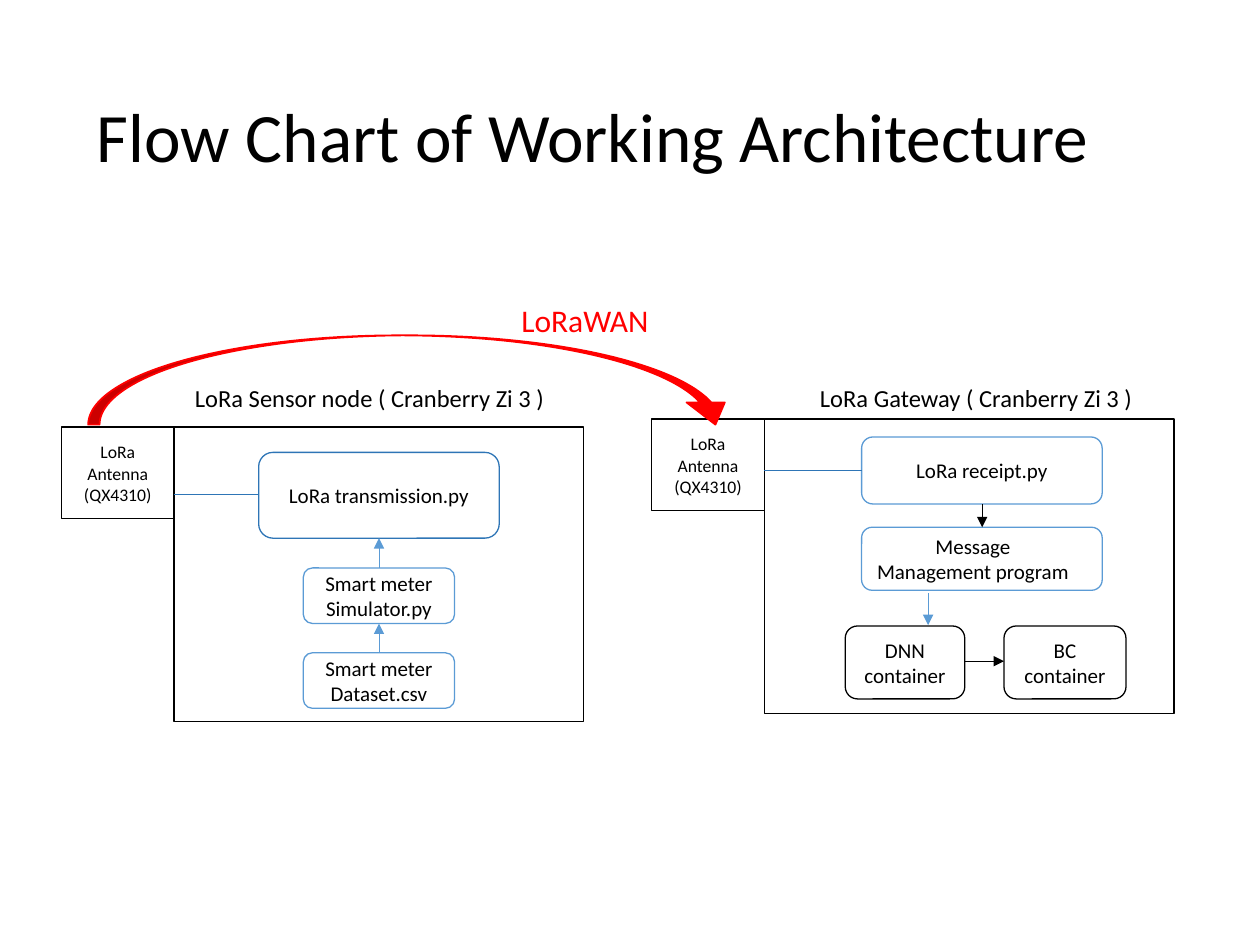
from pptx import Presentation
from pptx.dml.color import RGBColor
from pptx.enum import shapes as sh, text as tx
from pptx.oxml.ns import qn
from pptx.util import Cm, Pt
from lxml import etree

BLACK, BLUE, NAVY, RED = "000000", "5B9BD5", "2E75B6", "FF0000"
KIND = sh.MSO_SHAPE
ANTENNA = 2.27, 1.85
FRAME = 8.26, 5.94


def color(code):
    return RGBColor.from_string(code)


def write(frame, words, size, ink=BLACK, align=tx.PP_ALIGN.LEFT, wrap=True):
    frame.text = words
    frame.word_wrap = wrap
    for par in frame.paragraphs:
        par.alignment = align
        par.font.name = "Calibri"
        par.font.size = Pt(size)
        par.font.color.rgb = color(ink)


def label(slide, box, words, size, ink=BLACK, wrap=True):
    frame = slide.shapes.add_textbox(*map(Cm, box)).text_frame
    write(frame, words, size, ink, wrap=wrap)
    return frame


def block(slide, box, words="", ink=BLACK, kind=KIND.ROUNDED_RECTANGLE, size=12):
    """Draw an outlined box with centred words and return its text frame."""
    shape = slide.shapes.add_shape(kind, *map(Cm, box))
    shape.shadow.inherit = False
    shape.fill.background()
    shape.line.color.rgb = color(ink)
    shape.line.width = Pt(0.75)
    frame = shape.text_frame
    frame.vertical_anchor = tx.MSO_ANCHOR.MIDDLE
    if words:
        write(frame, words, size, align=tx.PP_ALIGN.CENTER)
    return frame


def link(slide, start, end, ink, arrow=True):
    line = slide.shapes.add_connector(
        sh.MSO_CONNECTOR.STRAIGHT, *map(Cm, (*start, *end)))
    line.line.color.rgb = color(ink)
    line.line.width = Pt(0.5)
    if arrow:
        etree.SubElement(line.line._get_or_add_ln(), qn("a:tailEnd"), type="triangle")
    etree.SubElement(line._element.spPr, qn("a:effectLst"))


def title(slide, box):
    frame = label(slide, box, "Flow Chart of Working Architecture", 39.6)
    frame.vertical_anchor = tx.MSO_ANCHOR.MIDDLE
    frame.paragraphs[0].line_spacing = 0.9


def device(slide, left, top, name, shift):
    """Draw antenna, frame and name; return the frame's left edge."""
    inner = left + ANTENNA[0]
    block(slide, (inner, top, *FRAME), kind=KIND.RECTANGLE)
    frame = block(slide, (left, top, *ANTENNA), "LoRa\nAntenna\n(QX4310)",
                  kind=KIND.RECTANGLE, size=10.1)
    frame.margin_left = frame.margin_right = Cm(0.15)
    frame.margin_top = frame.margin_bottom = Cm(0.08)
    dx, dy, wide = shift
    label(slide, (left + dx, top + dy, wide, 0.86), name, 14)
    return inner


def sensor(slide, left, top):
    x = device(slide, left, top, "LoRa Sensor node ( Cranberry Zi 3 )",
               (2.44, -1.02, 7.95))
    mid = x + FRAME[0] / 2
    steps = [
        (0.51, 4.85, 1.73, "LoRa transmission.py", NAVY),
        (2.84, 3.05, 1.12, "Smart meter\nSimulator.py", BLUE),
        (4.55, 3.05, 1.12, "Smart meter Dataset.csv", BLUE),
    ]
    for y, wide, high, words, ink in steps:
        block(slide, (mid - wide / 2, top + y, wide, high), words, ink)
    for above, below in zip(steps, steps[1:]):
        link(slide, (mid, top + below[0]), (mid, top + above[0] + above[2]), BLUE)
    link(slide, (x, top + 1.36), (mid - steps[0][1] / 2, top + 1.36), NAVY, False)


def gateway(slide, left, top):
    x = device(slide, left, top, "LoRa Gateway ( Cranberry Zi 3 )",
               (3.14, -0.86, 7.14))
    block(slide, (x + 1.96, top + 0.36, 4.85, 1.35), "LoRa receipt.py", BLUE)
    frame = block(slide, (x + 1.96, top + 2.18, 4.85, 1.27),
                  "Message\nManagement program", BLUE)
    frame.margin_right = Cm(0.61)
    block(slide, (x + 1.63, top + 4.17, 2.41, 1.47), "DNN\ncontainer")
    block(slide, (x + 4.83, top + 4.17, 2.46, 1.47), "BC\ncontainer")
    for start, end, ink, arrow in [
        ((4.39, 1.71), (4.39, 2.18), BLACK, True),
        ((3.3, 3.51), (3.3, 4.15), BLUE, True),
        ((4.04, 4.88), (4.83, 4.88), BLACK, True),
        ((0, 1.03), (1.96, 1.03), NAVY, False),
    ]:
        link(slide, (x + start[0], top + start[1]),
             (x + end[0], top + end[1]), ink, arrow)


def radio(slide, left, top):
    """Draw the curved arrow from one antenna to the other, with its name."""
    arc = slide.shapes.add_shape(
        KIND.CURVED_UP_ARROW, *map(Cm, (left, top, 13.03, 1.8)))
    for i, value in enumerate((0.127, 0.429, 0.249)):
        arc.adjustments[i] = value
    arc.rotation = 180
    arc._element.spPr.find(qn("a:xfrm")).set("flipH", "1")
    arc.shadow.inherit = False
    arc.fill.solid()
    arc.fill.fore_color.rgb = color(RED)
    arc.line.color.rgb = color(RED)
    arc.line.width = Pt(1)
    label(slide, (left + 8.48, top - 0.81, 3.1, 1.02), "LoRaWAN", 18, RED, False)


def main():
    deck = Presentation()
    deck.slide_width, deck.slide_height = Cm(25.4), Cm(19.05)
    slide = deck.slides.add_slide(deck.slide_layouts[6])
    title(slide, (1.7, 1.47, 21.9, 2.69))
    sensor(slide, 1.24, 8.61)
    gateway(slide, 13.14, 8.45)
    radio(slide, 1.78, 6.76)
    deck.save("out.pptx")


if __name__ == "__main__":
    main()
